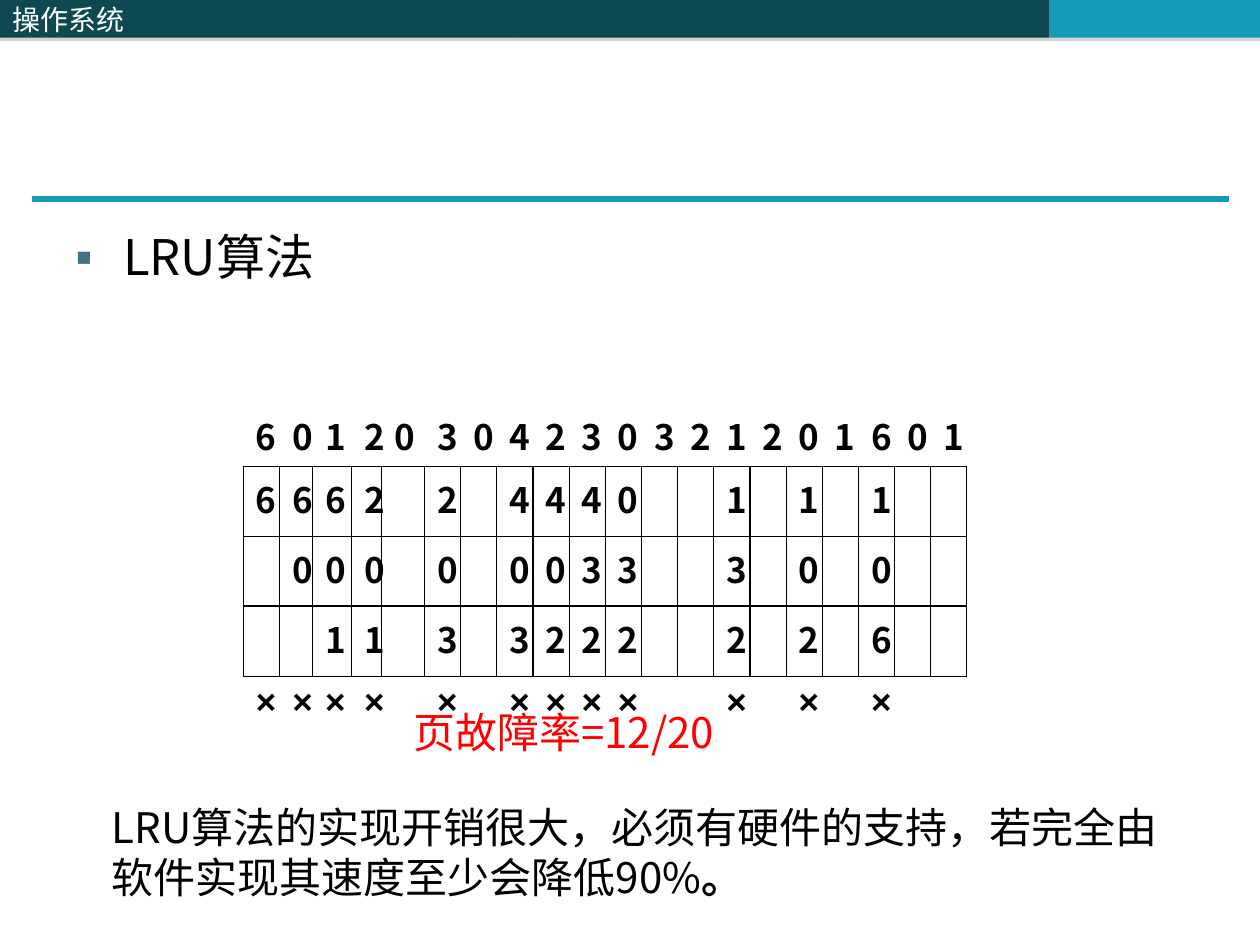
from dataclasses import dataclass

from lxml import etree
from pptx import Presentation
from pptx import util as u
from pptx.dml.color import RGBColor
from pptx.enum import shapes, text
from pptx.oxml import ns


@dataclass(frozen=True)
class Theme:
    dark: str = "0E4851"
    accent: str = "139CB7"
    bullet: str = "437085"
    shadow: str = "808080"
    ink: str = "000000"
    alert: str = "FF0000"
    light: str = "FFFFFF"
    font: str = "Noto Sans CJK SC"
    mark_font: str = "Arial"
    stop_font: str = "Karla"
    header: int = 16
    heading: int = 28
    body: int = 24
    cell: int = 20


THEME = Theme()
REFERENCES = "60120304230321201601"
FRAMES = (
    "6662 2 4440  1 1 1  ",
    " 000 0 0033  3 0 0  ",
    "  11 3 3222  2 2 6  ",
)
FAULTS = "".join(" " if frame == " " else "×" for frame in FRAMES[0])
TABLE_WIDTH = 5.75
UNEVEN_COLUMNS = {0: 0.29, 1: 0.26, 2: 0.31, 3: 0.24, 4: 0.34}
ROW_HEIGHTS = (0.5, 0.56, 0.55, 0.56, 0.47)


def add_node(parent, tag, **attributes):
    node = etree.SubElement(parent, ns.qn(tag))
    for name, value in attributes.items():
        node.set(name, str(value))
    return node


def write(para, words, size, color=THEME.ink, font=THEME.font, bold=False):
    span = para.add_run()
    span.text = words
    span.font.size = u.Pt(size)
    span.font.bold = bold
    span.font.color.rgb = RGBColor.from_string(color)
    span.font.name = font
    add_node(span.font._element, "a:ea", typeface=font)


def add_shadow(box):
    effects = add_node(box._element.spPr, "a:effectLst")
    shadow = add_node(effects, "a:outerShdw", dist=u.Pt(1.8), dir=5400000, rotWithShape=0)
    color = add_node(shadow, "a:srgbClr", val=THEME.shadow)
    add_node(color, "a:alpha", val=35000)


def add_band(page, left, width, color):
    band = page.shapes.add_shape(
        shapes.MSO_SHAPE.RECTANGLE, u.Inches(left), 0, u.Inches(width), u.Inches(0.3)
    )
    band.fill.solid()
    band.fill.fore_color.rgb = RGBColor.from_string(color)
    band.line.fill.background()
    add_shadow(band)
    return band


def add_header(page):
    add_band(page, 4.08, 4.25, THEME.dark)
    add_band(page, 8.33, 1.67, THEME.accent)
    title = add_band(page, 0, 4.08, THEME.dark)
    title.text_frame.vertical_anchor = text.MSO_ANCHOR.MIDDLE
    para = title.text_frame.paragraphs[0]
    para.alignment = text.PP_ALIGN.LEFT
    write(para, "操作系统", THEME.header, THEME.light)


def add_rule(page):
    rule = page.shapes.add_connector(
        shapes.MSO_CONNECTOR.STRAIGHT,
        u.Inches(0.25), u.Inches(1.58), u.Inches(9.75), u.Inches(1.58),
    )
    rule.line.color.rgb = RGBColor.from_string(THEME.accent)
    rule.line.width = u.Pt(3)
    add_node(rule._element.spPr, "a:effectLst")


def add_text(page, left, top, width, height, wrap=True):
    box = page.shapes.add_textbox(*map(u.Inches, (left, top, width, height)))
    box.text_frame.word_wrap = wrap
    return box.text_frame.paragraphs[0]


def add_bullet(para):
    properties = para._p.get_or_add_pPr()
    properties.set("marL", str(u.Inches(0.38)))
    properties.set("indent", str(-u.Inches(0.38)))
    color = add_node(properties, "a:buClr")
    add_node(color, "a:srgbClr", val=THEME.bullet)
    add_node(properties, "a:buFont", typeface=THEME.mark_font)
    add_node(properties, "a:buChar", char="▪")


def set_borders(cell, visible):
    properties = cell._tc.get_or_add_tcPr()
    for position, side in enumerate("LRTB"):
        border = etree.Element(ns.qn(f"a:ln{side}"), w=str(u.Pt(0.75)))
        if side in visible:
            fill = add_node(border, "a:solidFill")
            add_node(fill, "a:srgbClr", val=THEME.ink)
        else:
            add_node(border, "a:noFill")
        properties.insert(position, border)


def add_page_table(page):
    rows = (REFERENCES, *FRAMES, FAULTS)
    borders = ("B", *["LRTB"] * len(FRAMES), "T")
    count = len(REFERENCES)
    even = (TABLE_WIDTH - sum(UNEVEN_COLUMNS.values())) / (count - len(UNEVEN_COLUMNS))
    table = page.shapes.add_table(
        len(rows), count, u.Inches(1.93), u.Inches(3.2),
        u.Inches(TABLE_WIDTH), u.Inches(sum(ROW_HEIGHTS)),
    ).table
    table.first_row = table.horz_banding = False
    for index, column in enumerate(table.columns):
        column.width = u.Inches(UNEVEN_COLUMNS.get(index, even))
    for row, height, values, visible in zip(table.rows, ROW_HEIGHTS, rows, borders):
        row.height = u.Inches(height)
        for cell, value in zip(row.cells, values):
            cell.fill.background()
            set_borders(cell, visible)
            if value != " ":
                font = THEME.mark_font if value == "×" else THEME.font
                write(cell.text_frame.paragraphs[0], value, THEME.cell, font=font, bold=True)


def main():
    deck = Presentation()
    deck.slide_width, deck.slide_height = u.Inches(10), u.Inches(7.5)
    page = deck.slides.add_slide(deck.slide_layouts[6])
    add_header(page)
    add_rule(page)

    heading = add_text(page, 0.5, 1.75, 9, 5.42)
    add_bullet(heading)
    write(heading, "LRU算法", THEME.heading)

    add_page_table(page)

    rate = add_text(page, 3.18, 5.56, 2.81, 0.5, wrap=False)
    write(rate, "页故障率=12/20", THEME.body, THEME.alert)

    remark = add_text(page, 0.79, 6.31, 8.74, 0.9)
    write(
        remark,
        "LRU算法的实现开销很大，必须有硬件的支持，若完全由软件实现其速度至少会降低90%",
        THEME.body,
    )
    write(remark, "。", THEME.body, font=THEME.stop_font, bold=True)
    deck.save("out.pptx")


if __name__ == "__main__":
    main()
